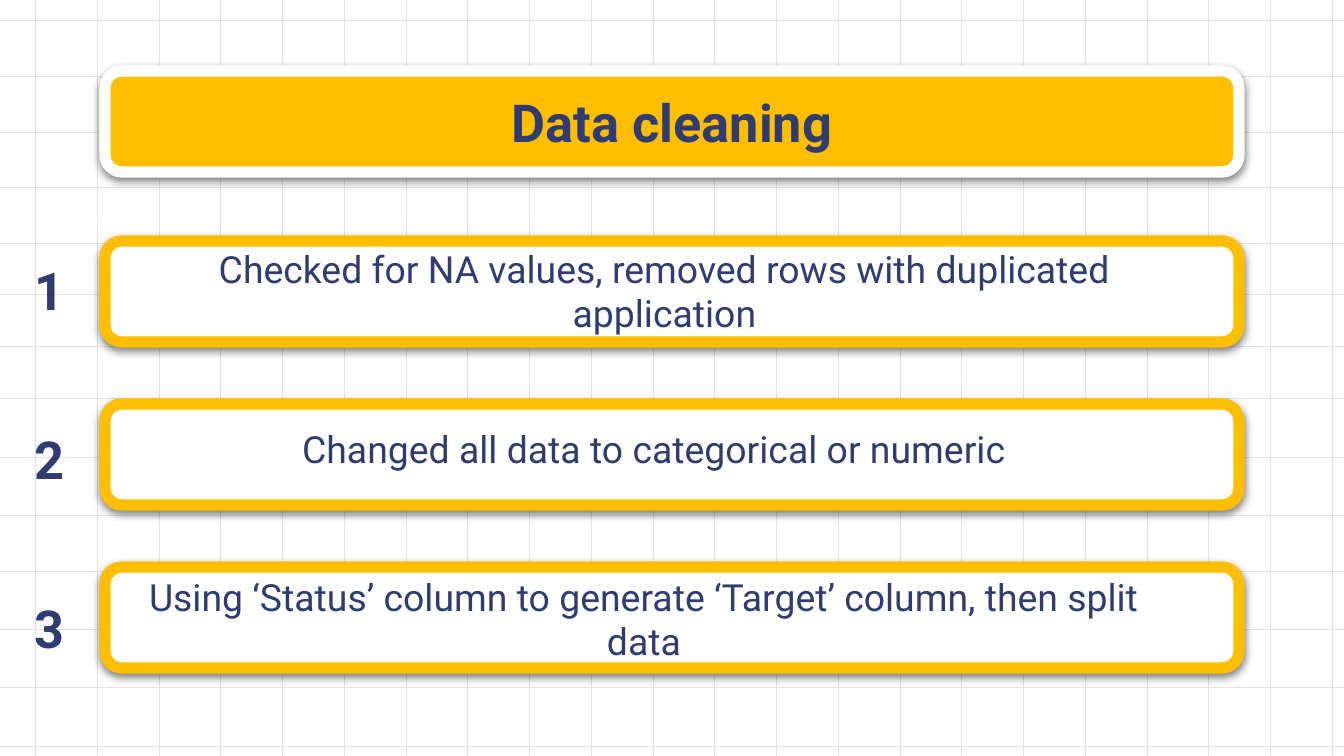
from lxml import etree
from pptx import Presentation
from pptx.dml.color import RGBColor
from pptx.enum.shapes import MSO_CONNECTOR, MSO_SHAPE
from pptx.enum.text import MSO_ANCHOR, MSO_AUTO_SIZE, PP_ALIGN
from pptx.oxml.ns import qn
from pptx.util import Pt

STRAIGHT = MSO_CONNECTOR.STRAIGHT
ROUNDED = MSO_SHAPE.ROUNDED_RECTANGLE
MIDDLE = MSO_ANCHOR.MIDDLE
NO_FIT = MSO_AUTO_SIZE.NONE
LEFT, CENTER = PP_ALIGN.LEFT, PP_ALIGN.CENTER

WIDTH, HEIGHT = 1344, 756
SCALE = 9144000 / WIDTH
FONT = "Roboto"
COLORS = {"grid": "E3E3E3", "yellow": "FFBE00", "white": "FFFFFF",
          "navy": "2F3C72", "black": "000000"}

GRID_ROWS = [20, 76, 132, 187, 243, 294, 346, 398, 457, 515, 571, 629, 687, 746]
GRID_COLUMNS = [35 + round(i * 1297 / 21) for i in range(22)]

BOX_X, BOX_W, BOX_H = 105, 1134, 101
TITLE_Y, FIRST_BOX_Y, BOX_PITCH = 71, 241, 163
FIRST_NUMBER_Y, NUMBER_PITCH = 251, 169

# Step text, then left, top and width of its text box
STEPS = [
    ("Checked for NA values, removed rows with duplicated application", 113, 249, 1103),
    ("Changed all data to categorical or numeric", 91, 407, 1126),
    ("Using ‘Status’ column to generate ‘Target’ column, then split data", 114, 577, 1060),
]


def px(*values):
    return [round(v * SCALE) for v in values]


def rgb(name):
    return RGBColor.from_string(COLORS[name])


def add_grid_line(s, x1, y1, x2, y2):
    line = s.shapes.add_connector(STRAIGHT, *px(x1, y1, x2, y2))
    line.line.color.rgb = rgb("grid")
    line.line.width = Pt(0.35)
    etree.SubElement(line._element.spPr, qn("a:effectLst"))


def add_grid(s):
    for y in GRID_ROWS:
        add_grid_line(s, -20, y, 1430, y)
    for x in GRID_COLUMNS:
        add_grid_line(s, x, -44, x, 771)


def add_shadow(shape):
    """Give the shape a soft shadow falling straight down."""
    shape.shadow.inherit = False
    effects = shape._element.spPr.find(qn("a:effectLst"))
    shadow = etree.SubElement(effects, qn("a:outerShdw"), blurRad=str(Pt(4.5)),
                              dist=str(Pt(1.5)), dir="5400000",
                              algn="bl", rotWithShape="0")
    color = etree.SubElement(shadow, qn("a:srgbClr"), val=COLORS["black"])
    etree.SubElement(color, qn("a:alpha"), val="50000")


def add_box(s, y, fill, border):
    box = s.shapes.add_shape(ROUNDED, *px(BOX_X, y, BOX_W, BOX_H))
    box.fill.solid()
    box.fill.fore_color.rgb = rgb(fill)
    box.line.color.rgb = rgb(border)
    box.line.width = Pt(6)
    add_shadow(box)


def set_text(shape, text, size, bold=False, align=CENTER, space_after=0):
    tf = shape.text_frame
    tf.text = text
    tf.word_wrap = True
    tf.auto_size = NO_FIT
    tf.vertical_anchor = MIDDLE
    inset, = px(13)
    tf.margin_left = tf.margin_right = tf.margin_top = tf.margin_bottom = inset
    p = tf.paragraphs[0]
    p.alignment = align
    p.space_after = Pt(space_after)
    font = p.runs[0].font
    font.name = FONT
    font.size = Pt(size)
    font.bold = bold
    font.color.rgb = rgb("navy")


def add_text(s, text, x, y, w, h, size, **style):
    set_text(s.shapes.add_textbox(*px(x, y, w, h)), text, size, **style)


def place_title(s, text):
    """Fill the title placeholder and bring it in front of its box."""
    title = s.shapes.title
    title.left, title.top, title.width, title.height = px(BOX_X, 79, BOX_W, 85)
    set_text(title, text, 28, bold=True)
    s.shapes._spTree.append(title._element)


def main():
    prs = Presentation()
    prs.slide_width, prs.slide_height = px(WIDTH, HEIGHT)
    s = prs.slides.add_slide(prs.slide_layouts[5])
    s.background.fill.solid()
    s.background.fill.fore_color.rgb = rgb("white")

    add_grid(s)
    add_box(s, TITLE_Y, "yellow", "white")
    place_title(s, "Data cleaning")
    for i, (text, x, y, w) in enumerate(STEPS):
        add_box(s, FIRST_BOX_Y + i * BOX_PITCH, "white", "yellow")
        add_text(s, text, x, y, w, 83, 20, space_after=12)
        add_text(s, str(i + 1), 22, FIRST_NUMBER_Y + i * NUMBER_PITCH, 69, 78,
                 28, bold=True, align=LEFT)

    prs.save("out.pptx")


if __name__ == "__main__":
    main()
